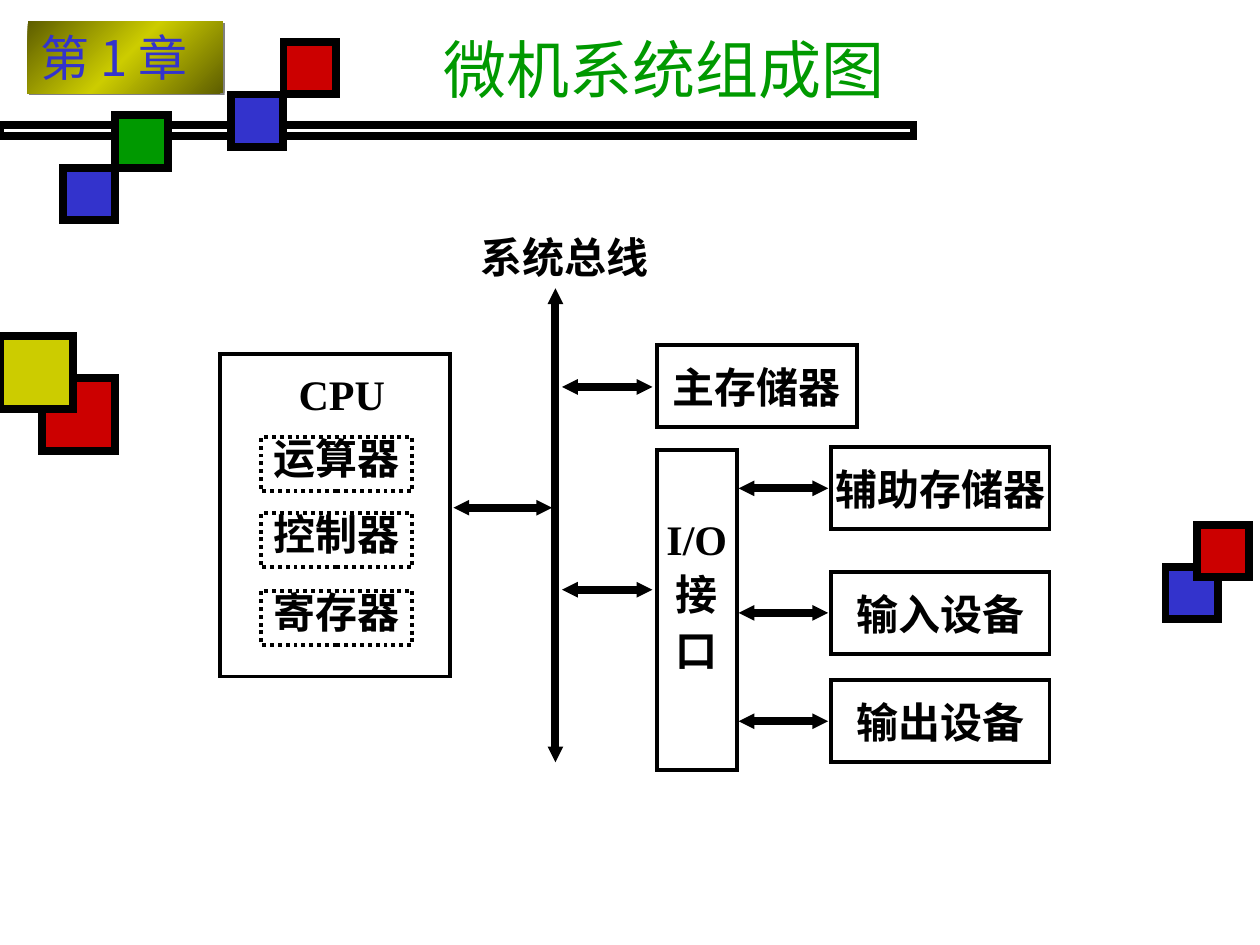
from collections import namedtuple
from copy import deepcopy

from lxml import etree
from pptx import Presentation
from pptx.dml.color import RGBColor
from pptx.enum.dml import MSO_LINE
from pptx.enum.shapes import MSO_CONNECTOR, MSO_SHAPE
from pptx.enum.text import MSO_ANCHOR, PP_ALIGN
from pptx.oxml.ns import qn
from pptx.util import Inches, Pt

RECTANGLE = MSO_SHAPE.RECTANGLE
STRAIGHT = MSO_CONNECTOR.STRAIGHT
DOTTED = MSO_LINE.ROUND_DOT
TOP = MSO_ANCHOR.TOP
MIDDLE = MSO_ANCHOR.MIDDLE
CENTER = PP_ALIGN.CENTER
LEFT = PP_ALIGN.LEFT
JUSTIFY = PP_ALIGN.JUSTIFY

BLACK = RGBColor(0x00, 0x00, 0x00)
BLUE = RGBColor(0x33, 0x33, 0xCC)
RED = RGBColor(0xCC, 0x00, 0x00)
GREEN = RGBColor(0x00, 0x99, 0x00)
YELLOW = RGBColor(0xCC, 0xCC, 0x00)
OLIVE = RGBColor(0x5E, 0x5E, 0x00)

BODY_FONT = "Times New Roman"
HEAVY, MEDIUM = 4.5, 2.25
GRID = 1 / 12  # decoration grid, inches


class Box(namedtuple("Box", "left top width height")):
    def point(self, x, y):
        """Position in inches of a point given in percent of this box."""
        return self.left + self.width * x / 100, self.top + self.height * y / 100

    def inner(self, x, y, width, height):
        """Inner box given in percent of this box."""
        return Box(*self.point(x, y), self.width * width / 100, self.height * height / 100)


def inches(values):
    return [Inches(value) for value in values]


def add_frame(slide, box, weight=MEDIUM, fill=None, dash=None):
    shape = slide.shapes.add_shape(RECTANGLE, *inches(box))
    shape.shadow.inherit = False
    if fill is None:
        shape.fill.background()
    else:
        shape.fill.solid()
        shape.fill.fore_color.rgb = fill
    shape.line.color.rgb = BLACK
    shape.line.width = Pt(weight)
    if dash is not None:
        shape.line.dash_style = dash
    outline = shape.element.spPr.find(qn("a:ln"))
    etree.SubElement(outline, qn("a:miter"), lim="800000")
    return shape


def write(shape, lines, size=24, font=BODY_FONT, color=BLACK, bold=True, align=CENTER,
          margin=0.01, top=None, anchor=TOP, wrap=True, spacing=None, before=3):
    frame = shape.text_frame
    frame.word_wrap = wrap
    frame.vertical_anchor = anchor
    frame.margin_left = frame.margin_right = frame.margin_bottom = Inches(margin)
    frame.margin_top = Inches(margin if top is None else top)
    frame.text = "\n".join(lines)
    for index, paragraph in enumerate(frame.paragraphs):
        paragraph.alignment = align
        if spacing:
            paragraph.line_spacing = spacing
        if index:
            paragraph.space_before = Pt(before)
        paragraph.font.size = Pt(size)
        paragraph.font.name = font
        paragraph.font.bold = bold
        paragraph.font.color.rgb = color


def add_label(slide, box, text, **style):
    write(slide.shapes.add_textbox(*inches(box)), [text], **style)


def add_double_arrow(slide, start, end):
    connector = slide.shapes.add_connector(STRAIGHT, *inches(start + end))
    connector.line.color.rgb = BLACK
    connector.line.width = Pt(HEAVY)
    properties = connector.element.spPr
    outline = properties.find(qn("a:ln"))
    for tag in ("a:headEnd", "a:tailEnd"):
        etree.SubElement(outline, qn(tag), type="triangle", w="sm", len="sm")
    etree.SubElement(properties, qn("a:effectLst"))


def add_squares(slide, left, top, side, squares):
    """Place coloured squares by grid column and row from a corner."""
    for column, row, color in squares:
        box = Box((left + column) * GRID, (top + row) * GRID, side * GRID, side * GRID)
        add_frame(slide, box, HEAVY, color)


def add_decoration(slide):
    add_frame(slide, Box(0, 0.99, 87 * GRID, 0.09), HEAVY)
    add_squares(slide, 111, 50, 5, [(0, 4, BLUE), (3, 0, RED)])
    add_squares(slide, 6, 4, 5, [(16, 5, BLUE), (0, 12, BLUE), (5, 7, GREEN), (21, 0, RED)])
    add_squares(slide, 0, 32, 7, [(4, 4, RED), (0, 0, YELLOW)])


def add_chapter_badge(slide, box):
    badge = slide.shapes.add_shape(RECTANGLE, *inches(box))
    badge.line.fill.background()
    badge.fill.gradient()
    badge.fill.gradient_angle = 135
    stops = badge.fill.gradient_stops
    for stop, color, position in zip(stops, (OLIVE, YELLOW), (0, 0.5)):
        stop.color.rgb = color
        stop.position = position
    stop_list = badge.element.spPr.find(qn("a:gradFill")).find(qn("a:gsLst"))
    last_stop = deepcopy(stop_list[0])
    last_stop.set("pos", "100000")
    stop_list.append(last_stop)
    effects = etree.SubElement(badge.element.spPr, qn("a:effectLst"))
    shadow = etree.SubElement(effects, qn("a:outerShdw"), dist=str(Pt(1.4)), dir="2700000")
    etree.SubElement(shadow, qn("a:srgbClr"), val="808080")
    write(badge, ["第 1 章"], size=28, font="Noto Sans CJK JP", color=BLUE, bold=False,
          align=LEFT, margin=0.1, top=0.05, wrap=False)


def add_title(slide, box):
    add_label(slide, box, "微机系统组成图", size=36, font="Karla", color=GREEN,
              bold=False, align=JUSTIFY, margin=0.1, anchor=MIDDLE)


def add_cpu(slide, box):
    add_frame(slide, box)
    add_label(slide, box.inner(27, 2.7, 51.6, 15.2), "CPU", top=0.05)
    for name, y in (("运算器", 25.8), ("控制器", 49.4), ("寄存器", 73.4)):
        unit = add_frame(slide, box.inner(17.6, y, 66, 16.8), dash=DOTTED)
        write(unit, [name], spacing=0.9)


def add_device(slide, box, name):
    write(add_frame(slide, box), [name], top=0.05, spacing=1.2)


def add_system_diagram(slide, box):
    add_label(slide, box.inner(27.2, 0, 28.7, 9.8), "系统总线")
    add_double_arrow(slide, box.point(40.4, 10.7), box.point(40.4, 98.6))
    add_cpu(slide, box.inner(0, 22.9, 27.7, 59.8))
    add_device(slide, box.inner(52.6, 21.3, 24.2, 15.2), "主存储器")
    interface = add_frame(slide, box.inner(52.6, 40.7, 9.7, 59.3))
    write(interface, ["I/O", "接", "口"], top=0.5)
    for start, end, y in ((41.2, 52.1, 29), (28.1, 40, 51.4), (41.2, 52.1, 66.6)):
        add_double_arrow(slide, box.point(start, y), box.point(end, y))

    device_height = 15.2
    for name, y in (("辅助存储器", 40.2), ("输入设备", 63.3), ("输出设备", 83.4)):
        add_device(slide, box.inner(73.6, y, 26.4, device_height), name)
        middle = y + device_height / 2
        add_double_arrow(slide, box.point(73.3, middle), box.point(62.5, middle))


def main():
    presentation = Presentation()
    presentation.slide_width = Inches(10)
    presentation.slide_height = Inches(7.5)
    slide = presentation.slides.add_slide(presentation.slide_layouts[6])
    add_decoration(slide)
    add_chapter_badge(slide, Box(0.22, 0.17, 1.55, 0.57))
    add_title(slide, Box(3.42, 0.08, 6.58, 0.92))
    add_system_diagram(slide, Box(1.75, 1.83, 6.58, 4.28))
    presentation.save("out.pptx")


if __name__ == "__main__":
    main()
